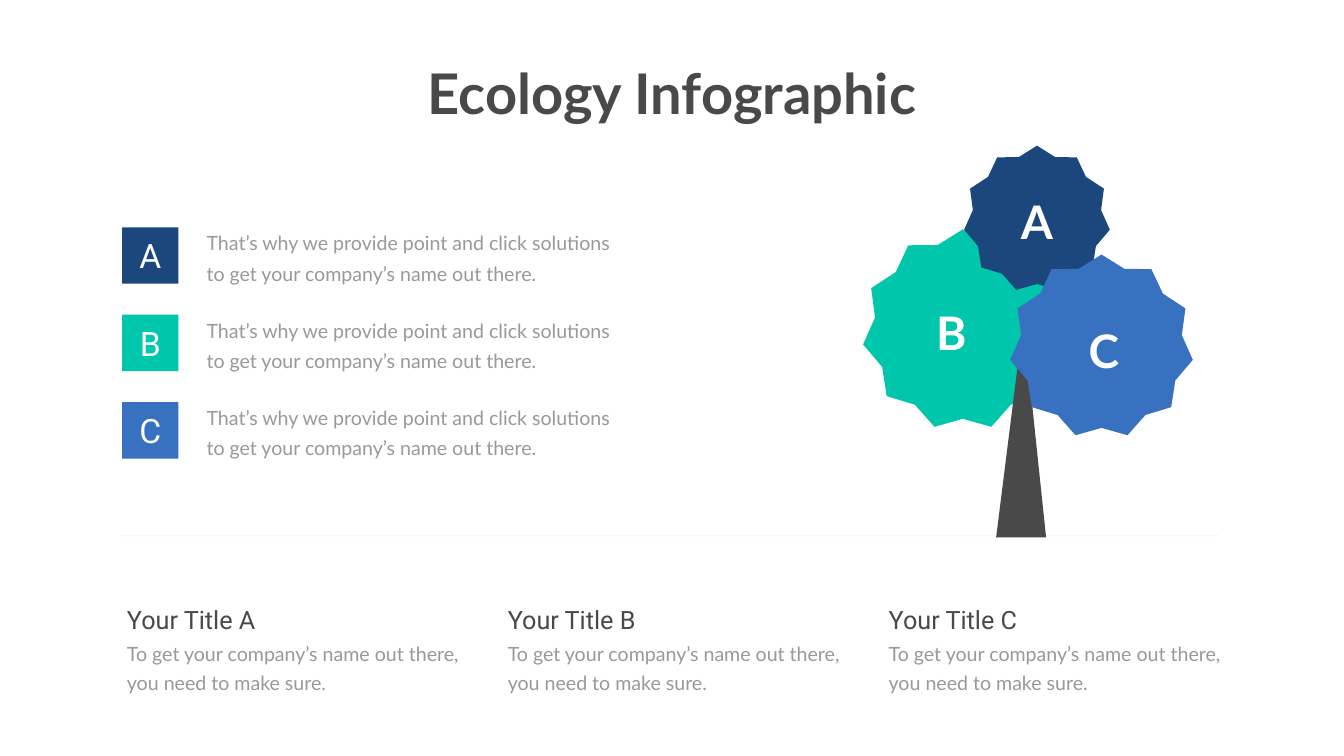
from math import cos, pi, sin

from lxml import etree
from pptx import Presentation
from pptx.dml.color import RGBColor
from pptx.enum.shapes import MSO_CONNECTOR, MSO_SHAPE
from pptx.enum.text import MSO_ANCHOR, PP_ALIGN
from pptx.oxml.ns import qn
from pptx.util import Inches, Pt

RECT = MSO_SHAPE.RECTANGLE
LINE = MSO_CONNECTOR.STRAIGHT
MIDDLE = MSO_ANCHOR.MIDDLE
LEFT, CENTER = PP_ALIGN.LEFT, PP_ALIGN.CENTER

COLORS = {"A": "1C477C", "B": "00C6AB", "C": "3771BF", "dark": "494949",
          "body": "999999", "rule": "808080", "white": "FFFFFF"}

# Grid in inches
WIDE, HIGH = 26.66, 15
EDGE = 2.42
ROW_TOP, ROW_STEP, BOX = 4.51, 1.735, 1.12
COL_STEP, COL_TOP = 7.555, 11.94
GROUND = 10.63

POINTS, NOTCH = 11, 0.88  # crown points, inner share of the radius

ITEM = "That’s why we provide point and click solutions to get your company’s name out there."
NOTE = "To get your company’s name out there, you need to make sure."


def rgb(name):
    return RGBColor.from_string(COLORS[name])


def paint(shape, color):
    shape.shadow.inherit = False
    shape.fill.solid()
    shape.fill.fore_color.rgb = rgb(color)
    shape.line.fill.background()


def write(frame, text, size, font, color, align=LEFT, bold=False, pitch=None):
    frame.word_wrap = True
    para = frame.paragraphs[0]
    para.text = text
    para.alignment = align
    if pitch:
        para.line_spacing = Pt(pitch)
    para.font.size = Pt(size)
    para.font.name = font
    para.font.bold = bold
    para.font.color.rgb = rgb(color)


def add_text(slide, area, *args, **style):
    box = slide.shapes.add_textbox(*map(Inches, area))
    write(box.text_frame, *args, **style)


def add_shape(slide, points, color):
    spots = [(Inches(x), Inches(y)) for x, y in points]
    pen = slide.shapes.build_freeform(*spots[0], scale=1.0)
    pen.add_line_segments(spots[1:], close=True)
    paint(pen.convert_to_shape(), color)


def add_crown(slide, key, x, y, radius):
    points = []
    for step in range(2 * POINTS):
        reach = radius * (NOTCH if step % 2 else 1)
        turn = pi * step / POINTS
        points.append((x + reach * sin(turn), y - reach * cos(turn)))
    add_shape(slide, points, key)


def add_mark(slide, key, x, y):
    add_text(slide, (x - 0.5, y - 0.6, 1, 1.21), key, 66, "Lato", "white",
             align=CENTER, bold=True)


def add_item(slide, row, key):
    top = ROW_TOP + row * ROW_STEP
    box = slide.shapes.add_shape(RECT, *map(Inches, (EDGE, top, BOX, BOX)))
    paint(box, key)
    box.text_frame.vertical_anchor = MIDDLE
    write(box.text_frame, key, 48, "Roboto", "white", align=CENTER)
    add_text(slide, (4, top - 0.1, 8.44, 1.25), ITEM, 28, "Lato", "body", pitch=43)


def add_note(slide, col, key):
    left = EDGE + col * COL_STEP
    add_text(slide, (left, COL_TOP, 5.72, 0.71), f"Your Title {key}",
             36, "Roboto", "dark")
    add_text(slide, (left, COL_TOP + 0.65, 7.03, 1.19), NOTE,
             28, "Lato", "body", pitch=40.8)


def add_ground(slide):
    ends = (EDGE, GROUND, 24.17, GROUND)
    rule = slide.shapes.add_connector(LINE, *map(Inches, ends))
    rule.line.width = Pt(1)
    rule.line.color.rgb = rgb("rule")
    props = rule._element.spPr
    tint = props.find(".//" + qn("a:srgbClr"))
    etree.SubElement(tint, qn("a:alpha"), val="10000")
    etree.SubElement(props, qn("a:effectLst"))


def add_tree(slide):
    add_crown(slide, "B", 19.1, 6.55, 2)
    trunk = [(19.76, 10.66), (20.18, 7.32), (20.23, 7.22),
             (20.35, 7.22), (20.4, 7.32), (20.75, 10.66)]
    add_shape(slide, trunk, "dark")
    add_mark(slide, "B", 18.87, 6.58)
    add_crown(slide, "A", 20.57, 4.35, 1.46)
    add_mark(slide, "A", 20.57, 4.39)
    add_crown(slide, "C", 21.85, 6.88, 1.83)
    add_mark(slide, "C", 21.9, 6.95)


def main():
    deck = Presentation()
    deck.slide_width, deck.slide_height = Inches(WIDE), Inches(HIGH)
    slide = deck.slides.add_slide(deck.slide_layouts[6])

    # Title
    add_text(slide, ((WIDE - 10.11) / 2, 1.12, 10.11, 1.45), "Ecology Infographic",
             80, "Lato", "dark", align=CENTER, bold=True)

    # Lettered rows and the columns below the ground
    for index, key in enumerate("ABC"):
        add_item(slide, index, key)
        add_note(slide, index, key)

    # Ground line and tree
    add_ground(slide)
    add_tree(slide)

    deck.save("out.pptx")


if __name__ == "__main__":
    main()
